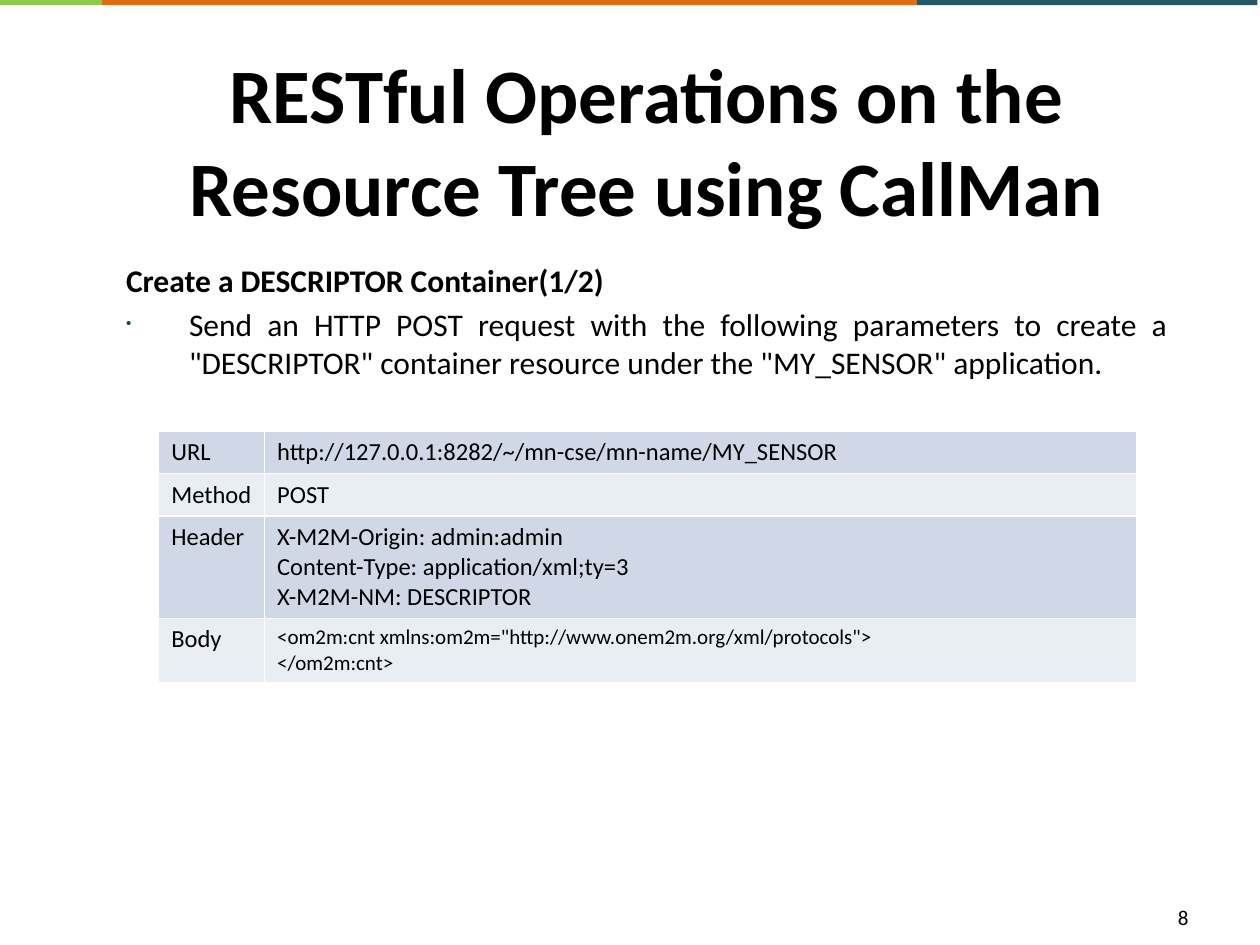
from lxml import etree
from pptx import Presentation
from pptx.dml.color import RGBColor
from pptx.enum.shapes import MSO_SHAPE
from pptx.enum.text import MSO_ANCHOR, MSO_AUTO_SIZE, PP_ALIGN
from pptx.oxml.ns import qn
from pptx.util import Inches, Pt

RECT = MSO_SHAPE.RECTANGLE
TOP, MIDDLE = MSO_ANCHOR.TOP, MSO_ANCHOR.MIDDLE
FIXED = MSO_AUTO_SIZE.NONE
LEFT, CENTER, JUSTIFY = PP_ALIGN.LEFT, PP_ALIGN.CENTER, PP_ALIGN.JUSTIFY

BARS = [(0.8, 6.48, "E46C0A"), (7.28, 2.7, "215968"), (-0.05, 0.86, "8BCD43")]
COLS = [0.84, 6.92]
# row height, label, lines, size of the lines
ROWS = [
    (0.33, "URL", ["http://127.0.0.1:8282/~/mn-cse/mn-name/MY_SENSOR"], 14),
    (0.34, "Method", ["POST"], 14),
    (0.81, "Header", ["X-M2M-Origin: admin:admin",
                      "Content-Type: application/xml;ty=3",
                      "X-M2M-NM: DESCRIPTOR"], 14),
    (0.51, "Body", ['<om2m:cnt xmlns:om2m="http://www.onem2m.org/xml/protocols">',
                    "</om2m:cnt>"], 12),
]


def color(code):
    return RGBColor.from_string(code)


def write(frame, lines, size=14, bold=False, align=LEFT, font="Calibri", ink="000000"):
    """Fill a text frame, one paragraph a line, and return the paragraphs."""
    for i, line in enumerate(lines):
        para = frame.paragraphs[0] if i == 0 else frame.add_paragraph()
        para.alignment = align
        run = para.add_run()
        run.text = line
        run.font.name, run.font.size, run.font.bold = font, Pt(size), bold
        run.font.color.rgb = color(ink)
    return frame.paragraphs


def add(parent, tag, **attrs):
    node = etree.SubElement(parent, qn(tag))
    for key, value in attrs.items():
        node.set(key, str(value))
    return node


def indent(para, left, first):
    props = para._p.get_or_add_pPr()
    props.set("marL", str(Inches(left)))
    props.set("indent", str(Inches(first)))
    return props


def border(cell, ink, width):
    props = cell._tc.get_or_add_tcPr()
    for side in "LRTB":
        line = add(props, "a:ln" + side, w=Pt(width))
        add(add(line, "a:solidFill"), "a:srgbClr", val=ink)


class Page:
    bands = ["D0D8E8", "E9EDF4"]
    rule = "FFFFFF"

    def __init__(self, deck):
        self.slide = deck.slides.add_slide(deck.slide_layouts[1])
        self.shapes = self.slide.shapes

    def bar(self, left, width, fill):
        shape = self.shapes.add_shape(RECT, Inches(left), Inches(-0.01),
                                      Inches(width), Inches(0.05))
        shape.shadow.inherit = False
        shape.fill.solid()
        shape.fill.fore_color.rgb = color(fill)
        shape.line.fill.background()

    def place(self, holder, left, top, width, height, anchor):
        holder.left, holder.top = Inches(left), Inches(top)
        holder.width, holder.height = Inches(width), Inches(height)
        frame = holder.text_frame
        frame.auto_size, frame.word_wrap = FIXED, True
        frame.vertical_anchor = anchor
        return frame

    def title(self, text):
        frame = self.place(self.shapes.title, 0.9, 0.31, 8.47, 1.59, MIDDLE)
        write(frame, [text], size=44, bold=True, align=CENTER)

    def body(self, head, item):
        frame = self.place(self.slide.placeholders[1], 0.9, 2.02, 8.47, 4.4, TOP)
        first, second = write(frame, [head, item], size=18)
        first.runs[0].font.bold = True
        add(indent(first, 0, 0), "a:buNone")
        second.alignment = JUSTIFY
        props = indent(second, 0.5, -0.5)
        add(add(props, "a:buClr"), "a:srgbClr", val="19434F")
        add(props, "a:buSzPct", val=48000)
        add(props, "a:buFont", typeface="Arial")
        add(props, "a:buChar", char="•")

    def number(self, text):
        box = self.shapes.add_textbox(0, 0, 0, 0)
        write(self.place(box, 9.25, 7.13, 0.64, 0.4, TOP), [text], size=12)

    def table(self, left, top, cols, rows):
        tall = sum(row[0] for row in rows)
        grid = self.shapes.add_table(len(rows), len(cols), Inches(left), Inches(top),
                                     Inches(sum(cols)), Inches(tall)).table
        for col, width in zip(grid.columns, cols):
            col.width = Inches(width)
        for i, (height, label, lines, size) in enumerate(rows):
            grid.rows[i].height = Inches(height)
            fill = self.bands[i % 2]
            self.cell(grid.cell(i, 0), [label], 14, fill)
            self.cell(grid.cell(i, 1), lines, size, fill)

    def cell(self, cell, lines, size, fill):
        border(cell, self.rule, 1)
        cell.fill.solid()
        cell.fill.fore_color.rgb = color(fill)
        write(cell.text_frame, lines, size=size)


def main():
    deck = Presentation()
    deck.slide_width, deck.slide_height = Inches(10), Inches(7.5)
    page = Page(deck)
    for bar in BARS:
        page.bar(*bar)
    page.title("RESTful Operations on the Resource Tree using CallMan")
    page.body("Create a DESCRIPTOR Container(1/2)",
              "Send an HTTP POST request with the following parameters to create a "
              '"DESCRIPTOR" container resource under the "MY_SENSOR" application.')
    page.number("8")
    page.table(1.26, 3.42, COLS, ROWS)
    deck.save("out.pptx")


if __name__ == "__main__":
    main()
